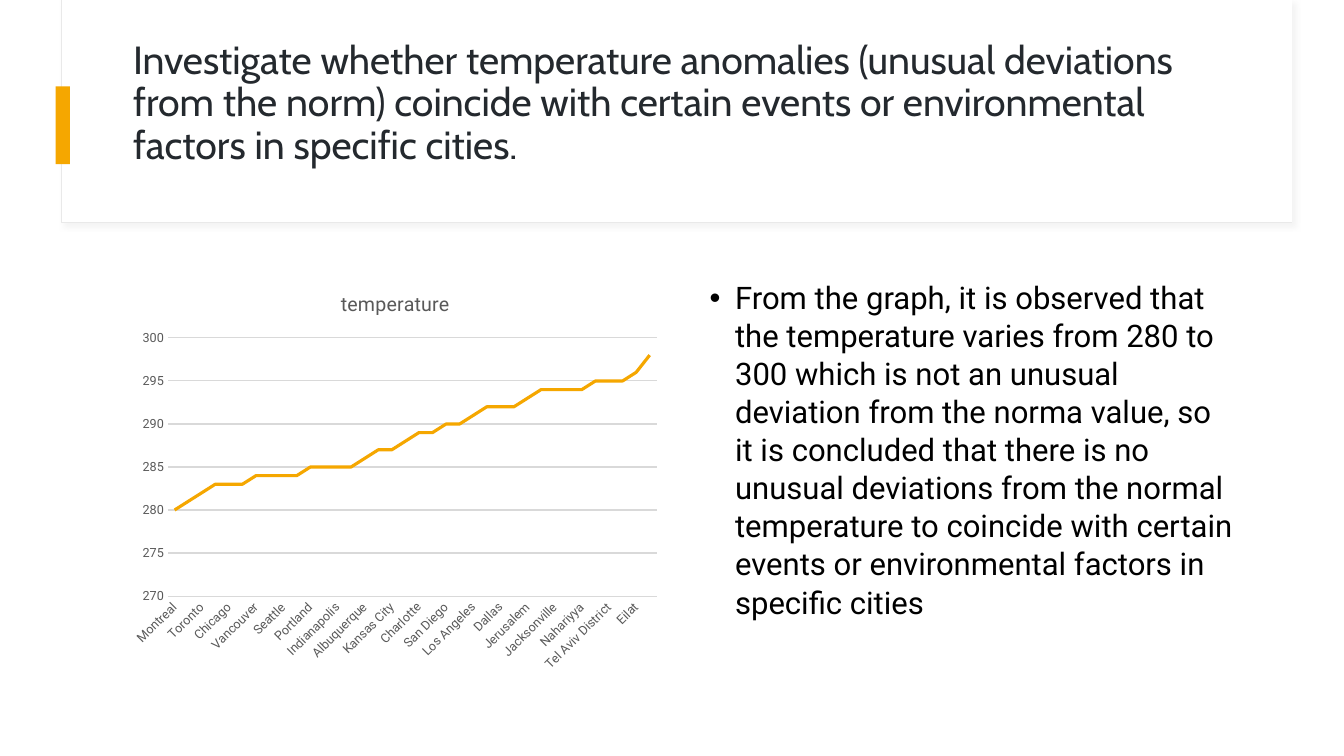
from dataclasses import dataclass

import pptx
import pptx.chart.data
import pptx.dml.color
import pptx.enum.chart
import pptx.enum.shapes
import pptx.enum.text
import pptx.oxml
import pptx.oxml.ns
import pptx.util
from pptx.util import Cm, Pt

ACCENT, WHITE, BLACK = "F5A700", "FFFFFF", "000000"
TITLE_INK, LABEL_INK, GRID = "24292E", "595959", "D9D9D9"
BODY_FONT = "Roboto"

SHADOW_XML = (
    f'<a:effectLst {pptx.oxml.ns.nsdecls("a")}>'
    '<a:outerShdw blurRad="50800" dist="38100" dir="2700000">'
    f'<a:srgbClr val="{GRID}"><a:alpha val="30000"/></a:srgbClr>'
    "</a:outerShdw></a:effectLst>"
)


@dataclass
class Panel:
    left: float
    top: float
    width: float
    height: float
    fill: str
    line: str = ""
    shadow: bool = False


PANELS = [
    Panel(1.55, 0, 31.01, 5.61, WHITE, "E9E9E9", True),
    Panel(1.57, 0, 30.99, 5.59, WHITE),
    Panel(1.4, 2.18, 0.36, 1.96, ACCENT),
]

# Cities grouped by their rounded mean temperature
CITIES_BY_TEMPERATURE = {
    280: ["Montreal"],
    281: ["Minneapolis"],
    282: ["Toronto"],
    283: ["Detroit", "Chicago", "Denver"],
    284: ["Vancouver", "Boston", "Seattle", "Pittsburgh"],
    285: ["Portland", "New York", "Indianapolis", "Philadelphia"],
    286: ["Albuquerque"],
    287: ["Saint Louis", "Kansas City"],
    288: ["San Francisco"],
    289: ["Charlotte", "Nashville"],
    290: ["San Diego", "Atlanta"],
    291: ["Los Angeles"],
    292: ["Las Vegas", "Dallas", "Beersheba"],
    293: ["Jerusalem"],
    294: ["San Antonio", "Jacksonville", "Houston", "Nahariyya"],
    295: ["Phoenix", "Tel Aviv District", "Haifa"],
    296: ["Eilat"],
    298: ["Miami"],
}


def color(value: str) -> pptx.dml.color.RGBColor:
    return pptx.dml.color.RGBColor.from_string(value)


def style_font(font, name: str, size: float, ink: str) -> None:
    font.name, font.size, font.bold = name, Pt(size), False
    font.color.rgb = color(ink)


def style_line(line, ink: str, width: float) -> None:
    line.color.rgb = color(ink)
    line.width = Pt(width)


def place(shape, left: float, top: float, width: float, height: float) -> None:
    shape.left, shape.top = Cm(left), Cm(top)
    shape.width, shape.height = Cm(width), Cm(height)


def draw_panel(slide, panel: Panel, depth: int) -> None:
    shape = slide.shapes.add_shape(
        pptx.enum.shapes.MSO_SHAPE.RECTANGLE,
        Cm(panel.left), Cm(panel.top), Cm(panel.width), Cm(panel.height))
    shape.fill.solid()
    shape.fill.fore_color.rgb = color(panel.fill)
    if panel.line:
        style_line(shape.line, panel.line, 0.75)
    else:
        shape.line.fill.background()
    if panel.shadow:
        shape._element.spPr.append(pptx.oxml.parse_xml(SHADOW_XML))
    else:
        shape.shadow.inherit = False
    # Panels lie behind the placeholders
    slide.shapes._spTree.insert(2 + depth, shape._element)


def write_title(shape) -> None:
    place(shape, 3.1, 1.52, 28.24, 3.28)
    frame = shape.text_frame
    frame.auto_size = pptx.enum.text.MSO_AUTO_SIZE.NONE
    frame.vertical_anchor = pptx.enum.text.MSO_ANCHOR.MIDDLE
    frame.margin_bottom = Cm(1.2)
    paragraph = frame.paragraphs[0]
    paragraph.alignment = pptx.enum.text.PP_ALIGN.LEFT
    paragraph.line_spacing = 0.9
    paragraph.space_before = Pt(0)
    run = paragraph.add_run()
    run.text = ("Investigate whether temperature anomalies (unusual deviations "
                "from the norm) coincide with certain events or environmental "
                "factors in specific cities.")
    style_font(run.font, "Cabin", 28, TITLE_INK)


def write_body(shape) -> None:
    place(shape, 17.63, 6.88, 13.72, 10.26)
    frame = shape.text_frame
    frame.auto_size = pptx.enum.text.MSO_AUTO_SIZE.NONE
    paragraph = frame.paragraphs[0]
    properties = paragraph._p.get_or_add_pPr()
    properties.set("marL", str(Cm(0.64)))
    properties.set("indent", str(-Cm(0.64)))
    properties.append(pptx.oxml.parse_xml(
        f'<a:buChar {pptx.oxml.ns.nsdecls("a")} char="•"/>'))
    paragraph.line_spacing = 1.02
    paragraph.space_before = Pt(0)
    run = paragraph.add_run()
    run.text = ("From the graph, it is observed that the temperature varies from "
                "280 to 300 which is not an unusual deviation from the norma value, "
                "so it is concluded that there is no unusual deviations from the "
                "normal temperature to coincide with certain events or "
                "environmental factors in specific cities")
    style_font(run.font, BODY_FONT, 22.2, BLACK)


def draw_chart(slide) -> None:
    data = pptx.chart.data.CategoryChartData(number_format="General")
    data.categories = [city for cities in CITIES_BY_TEMPERATURE.values()
                       for city in cities]
    data.add_series("temperature", [
        value for value, cities in CITIES_BY_TEMPERATURE.items() for _ in cities])
    chart = slide.shapes.add_chart(
        pptx.enum.chart.XL_CHART_TYPE.LINE,
        Cm(3.1), Cm(6.88), Cm(13.72), Cm(10.26), data).chart
    style_font(chart.font, BODY_FONT, 10, BLACK)
    chart.has_legend = False

    # Chart title
    chart.has_title = True
    run = chart.chart_title.text_frame.paragraphs[0].add_run()
    run.text = "temperature"
    style_font(run.font, BODY_FONT, 14, LABEL_INK)
    chart.chart_title.include_in_layout = False

    # Axes
    for axis in (chart.category_axis, chart.value_axis):
        axis.major_tick_mark = pptx.enum.chart.XL_TICK_MARK.NONE
        axis.minor_tick_mark = pptx.enum.chart.XL_TICK_MARK.NONE
        style_font(axis.tick_labels.font, BODY_FONT, 9, LABEL_INK)
    style_line(chart.category_axis.format.line, GRID, 0.75)
    label_body = chart.category_axis._element.find(
        "/".join(map(pptx.oxml.ns.qn, ("c:txPr", "a:bodyPr"))))
    label_body.set("rot", "-2700000")
    value_axis = chart.value_axis
    value_axis.minimum_scale, value_axis.maximum_scale = 270, 300
    value_axis.major_unit = 5
    value_axis.format.line.fill.background()
    value_axis.has_major_gridlines = True
    style_line(value_axis.major_gridlines.format.line, GRID, 0.75)

    # Temperature line
    chart.plots[0].vary_by_categories = False
    series = chart.plots[0].series[0]
    series.smooth = False
    series.marker.style = pptx.enum.chart.XL_MARKER_STYLE.NONE
    style_line(series.format.line, ACCENT, 2.25)


def main() -> None:
    presentation = pptx.Presentation()
    presentation.slide_width, presentation.slide_height = Cm(33.87), Cm(19.05)
    slide = presentation.slides.add_slide(presentation.slide_layouts[1])
    for depth, panel in enumerate(PANELS):
        draw_panel(slide, panel, depth)
    write_title(slide.shapes.title)
    write_body(slide.placeholders[1])
    draw_chart(slide)
    presentation.save("out.pptx")


if __name__ == "__main__":
    main()
